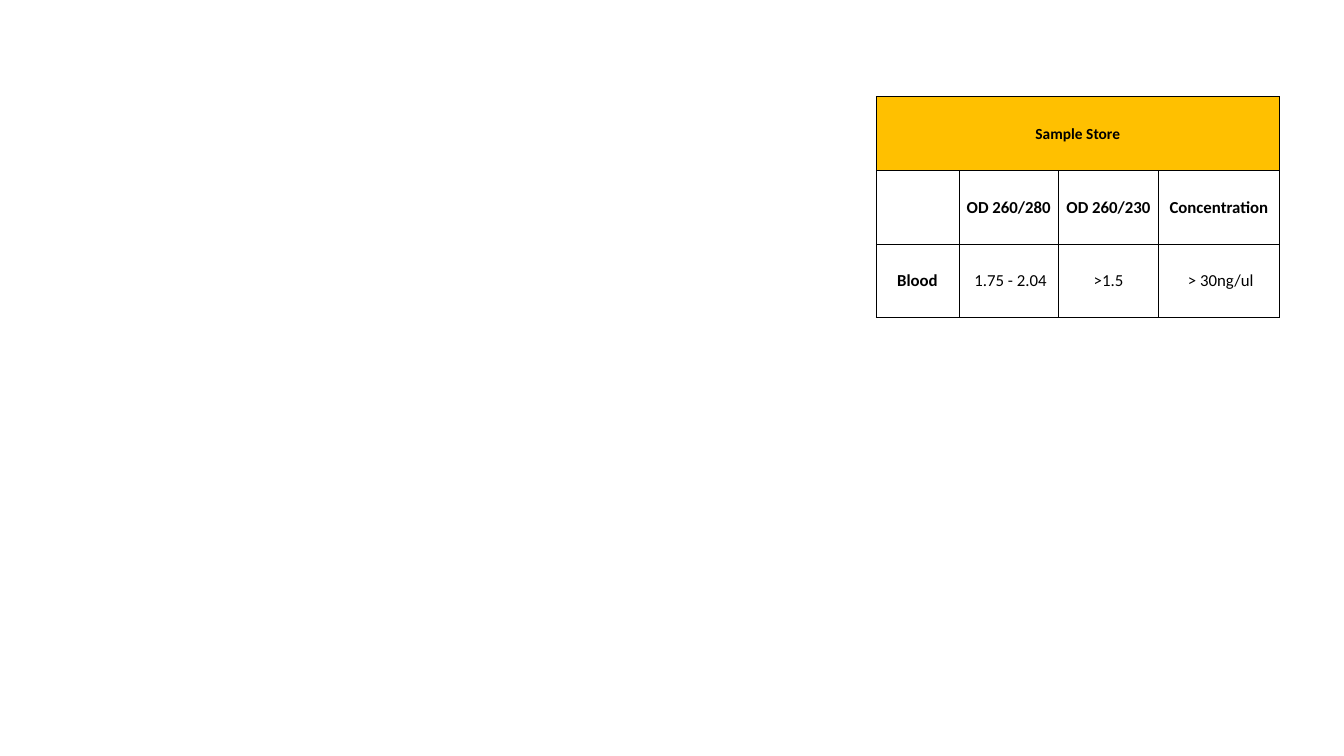
"""Build a slide with the quality limits for blood samples."""
from dataclasses import dataclass

import pptx
import pptx.dml.color
import pptx.enum.text
import pptx.oxml
import pptx.oxml.ns
import pptx.util
from pptx.util import Inches


@dataclass(frozen=True)
class Theme:
    """Colours, font and type sizes."""
    font: str = "Calibri"
    ink: str = "000000"
    band: str = "FFC000"
    heading_size: float = 11
    body_size: float = 12
    rule: float = 0.5


class SlideBuilder:
    """Holds the theme and the current slide."""

    def __init__(self, slide, theme):
        """Keep the slide and theme."""
        self.slide = slide
        self.theme = theme

    def apply(self, target, formats):
        """Set every attribute in a dict of format values."""
        for attribute, value in formats.items():
            setattr(target, attribute, value)

    def borders(self, cell):
        """Rule all four sides of a cell."""
        properties = cell._tc.get_or_add_tcPr()
        width = pptx.util.Pt(self.theme.rule)
        for side in ("lnL", "lnR", "lnT", "lnB"):
            properties.append(pptx.oxml.parse_xml(
                f'<a:{side} {pptx.oxml.ns.nsdecls("a")} w="{width}"><a:solidFill>'
                f'<a:srgbClr val="{self.theme.ink}"/></a:solidFill></a:{side}>'))

    def cell(self, cell, wording, size, bold, fill=None):
        """Write and format one table cell."""
        self.apply(cell, {
            "text": wording,
            "vertical_anchor": pptx.enum.text.MSO_ANCHOR.MIDDLE,
            "margin_left": Inches(0.01),
            "margin_right": Inches(0.01),
            "margin_top": Inches(0.01),
            "margin_bottom": Inches(0),
        })
        paragraph = cell.text_frame.paragraphs[0]
        paragraph.alignment = pptx.enum.text.PP_ALIGN.CENTER
        for run in paragraph.runs:
            self.apply(run.font, {
                "name": self.theme.font, "size": pptx.util.Pt(size), "bold": bold})
            run.font.color.rgb = pptx.dml.color.RGBColor.from_string(self.theme.ink)
        self.borders(cell)
        if fill:
            cell.fill.solid()
            cell.fill.fore_color.rgb = pptx.dml.color.RGBColor.from_string(fill)
        else:
            cell.fill.background()

    def table(self, left, top, widths, row_height, heading, rows):
        """Add a table with a merged heading, column labels and row labels."""
        row_count = len(rows) + 1
        table = self.slide.shapes.add_table(
            row_count, len(widths), Inches(left), Inches(top),
            Inches(sum(widths)), Inches(row_height * row_count)).table
        self.apply(table, {"first_row": False, "horz_banding": False})
        for column, width in zip(table.columns, widths):
            column.width = Inches(width)
        for row in table.rows:
            row.height = Inches(row_height)
        padded_heading = [heading] + [""] * (len(widths) - 1)
        for column, wording in enumerate(padded_heading):
            self.cell(table.cell(0, column), wording, self.theme.heading_size,
                      True, self.theme.band)
        table.cell(0, 0).merge(table.cell(0, len(widths) - 1))
        for row, entries in enumerate(rows, start=1):
            for column, wording in enumerate(entries):
                self.cell(table.cell(row, column), wording, self.theme.body_size,
                          row == 1 or column == 0)


def main():
    """Create and save the presentation."""
    deck = pptx.Presentation()
    deck.slide_width, deck.slide_height = Inches(13.33), Inches(7.5)
    builder = SlideBuilder(deck.slides.add_slide(deck.slide_layouts[6]), Theme())
    sample_limits = [
        ["", "OD 260/280", "OD 260/230", "Concentration"],
        ["Blood", " 1.75 - 2.04", ">1.5", " > 30ng/ul"],
    ]
    builder.table(8.69, 0.96, [0.82, 0.99, 0.99, 1.2], 0.73,
                  "Sample Store", sample_limits)
    deck.save("out.pptx")


main()
